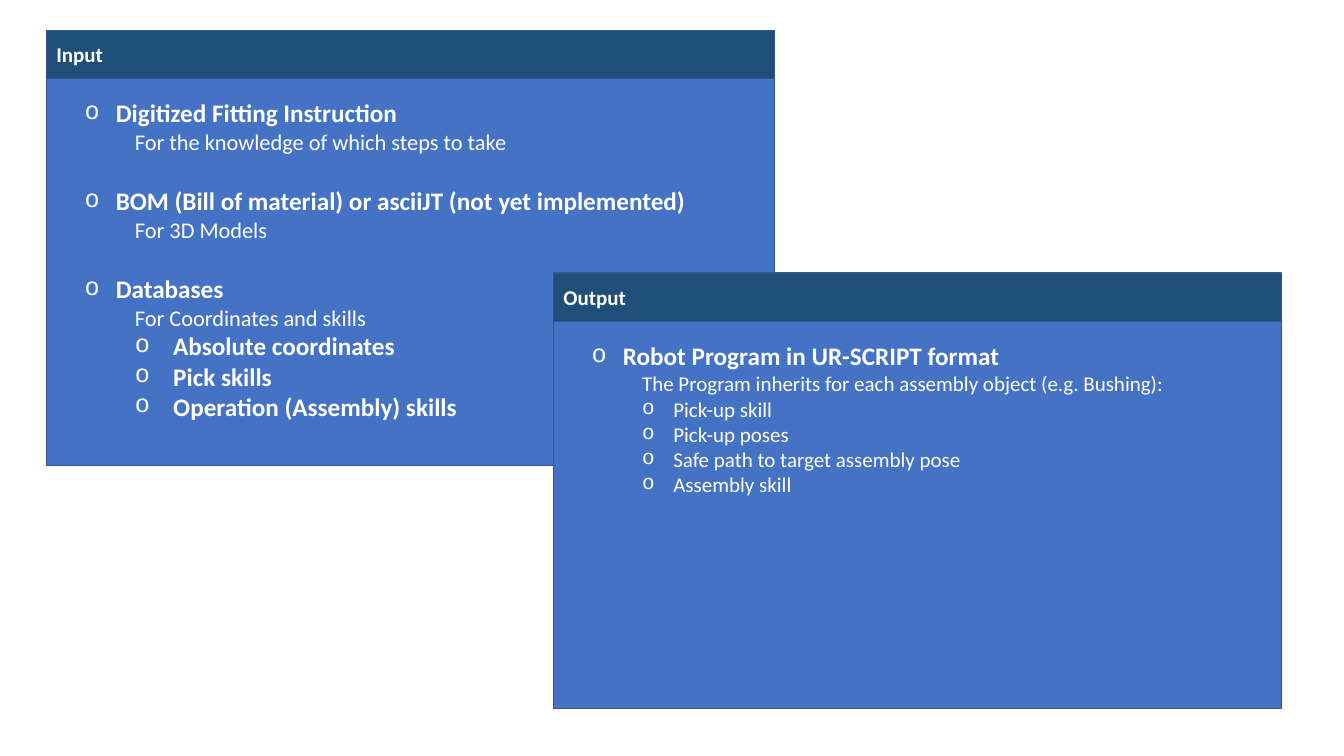
"""Builds a slide with two overlapping panels, Input and Output."""
from lxml import etree
from pptx import Presentation
from pptx.dml.color import RGBColor
from pptx.enum.shapes import MSO_SHAPE
from pptx.enum.text import MSO_ANCHOR, MSO_AUTO_SIZE, PP_ALIGN
from pptx.oxml.ns import qn
from pptx.util import Inches, Pt

FONT = "Calibri"
BULLET_FONT = "Courier New"
WHITE, BODY_FILL, HEADER_FILL, BORDER = "FFFFFF", "4472C4", "1F4E79", "325491"
PANEL_WIDTH, HEADER_HEIGHT = 7.22, 0.48
BODY_OFFSET, BODY_HEIGHT = 0.28, 4.04
TEXT_LEFT, TEXT_TOP, TEXT_WIDTH = 0.28, 0.62, 6.67
TOPIC_GAP = 22

# style: level, left margin, indent, bulleted, size, bold
STYLES = {
    "topic": (0, 0.31, -0.31, True, 18, True),
    "purpose": (1, 0.5, 0, False, 16, False),
    "database": (1, 0.88, -0.38, True, 18, True),
    "summary": (1, 0.5, 0, False, 15, False),
    "content": (1, 0.81, -0.31, True, 15, False),
}

# title, left, top, text height, lines
PANELS = [
    ("Input", 0.46, 0.3, 3.37, [
        ("topic", "Digitized Fitting Instruction"),
        ("purpose", "For the knowledge of which steps to take"),
        ("topic", "BOM (Bill of material) or asciiJT (not yet implemented)"),
        ("purpose", "For 3D Models"),
        ("topic", "Databases"),
        ("purpose", "For Coordinates and skills"),
        ("database", "Absolute coordinates"),
        ("database", "Pick skills"),
        ("database", "Operation (Assembly) skills"),
    ]),
    ("Output", 5.49, 2.71, 1.97, [
        ("topic", "Robot Program in UR-SCRIPT format"),
        ("summary", "The Program inherits for each assembly object (e.g. Bushing):"),
        ("content", "Pick-up skill"),
        ("content", "Pick-up poses"),
        ("content", "Safe path to target assembly pose"),
        ("content", "Assembly skill"),
    ]),
]


def color(value):
    return RGBColor.from_string(value)


def format_font(paragraph, size, bold):
    for run in paragraph.runs:
        run.font.name = FONT
        run.font.size = Pt(size)
        run.font.bold = bold
        run.font.color.rgb = color(WHITE)


def add_box(slide, left, top, height, fill):
    shape = slide.shapes.add_shape(
        MSO_SHAPE.RECTANGLE, Inches(left), Inches(top), Inches(PANEL_WIDTH), Inches(height))
    shape.shadow.inherit = False
    shape.fill.solid()
    shape.fill.fore_color.rgb = color(fill)
    shape.line.color.rgb = color(BORDER)
    shape.line.width = Pt(1)
    return shape


def add_line(paragraph, style, text):
    level, margin, indent, bulleted, size, bold = STYLES[style]
    paragraph.text = text
    paragraph.level = level
    properties = paragraph._p.get_or_add_pPr()
    properties.set("marL", str(Inches(margin)))
    properties.set("indent", str(Inches(indent)))
    if bulleted:
        etree.SubElement(properties, qn("a:buFont")).set("typeface", BULLET_FONT)
        etree.SubElement(properties, qn("a:buChar")).set("char", "o")
    format_font(paragraph, size, bold)


def add_panel(slide, title, left, top, text_height, lines):
    add_box(slide, left, top + BODY_OFFSET, BODY_HEIGHT, BODY_FILL)

    header = add_box(slide, left, top, HEADER_HEIGHT, HEADER_FILL).text_frame
    header.text = title
    header.vertical_anchor = MSO_ANCHOR.MIDDLE
    header.paragraphs[0].alignment = PP_ALIGN.LEFT
    format_font(header.paragraphs[0], 15, True)

    text_box = slide.shapes.add_textbox(
        Inches(left + TEXT_LEFT), Inches(top + TEXT_TOP), Inches(TEXT_WIDTH), Inches(text_height))
    text_frame = text_box.text_frame
    text_frame.word_wrap = True
    text_frame.auto_size = MSO_AUTO_SIZE.SHAPE_TO_FIT_TEXT
    for index, (style, text) in enumerate(lines):
        paragraph = text_frame.add_paragraph() if index else text_frame.paragraphs[0]
        add_line(paragraph, style, text)
        if index and style == "topic":
            paragraph.space_before = Pt(TOPIC_GAP)


def main():
    presentation = Presentation()
    presentation.slide_width = Inches(13.33)
    presentation.slide_height = Inches(7.5)
    slide = presentation.slides.add_slide(presentation.slide_layouts[6])
    for panel in PANELS:
        add_panel(slide, *panel)
    presentation.save("out.pptx")


if __name__ == "__main__":
    main()
